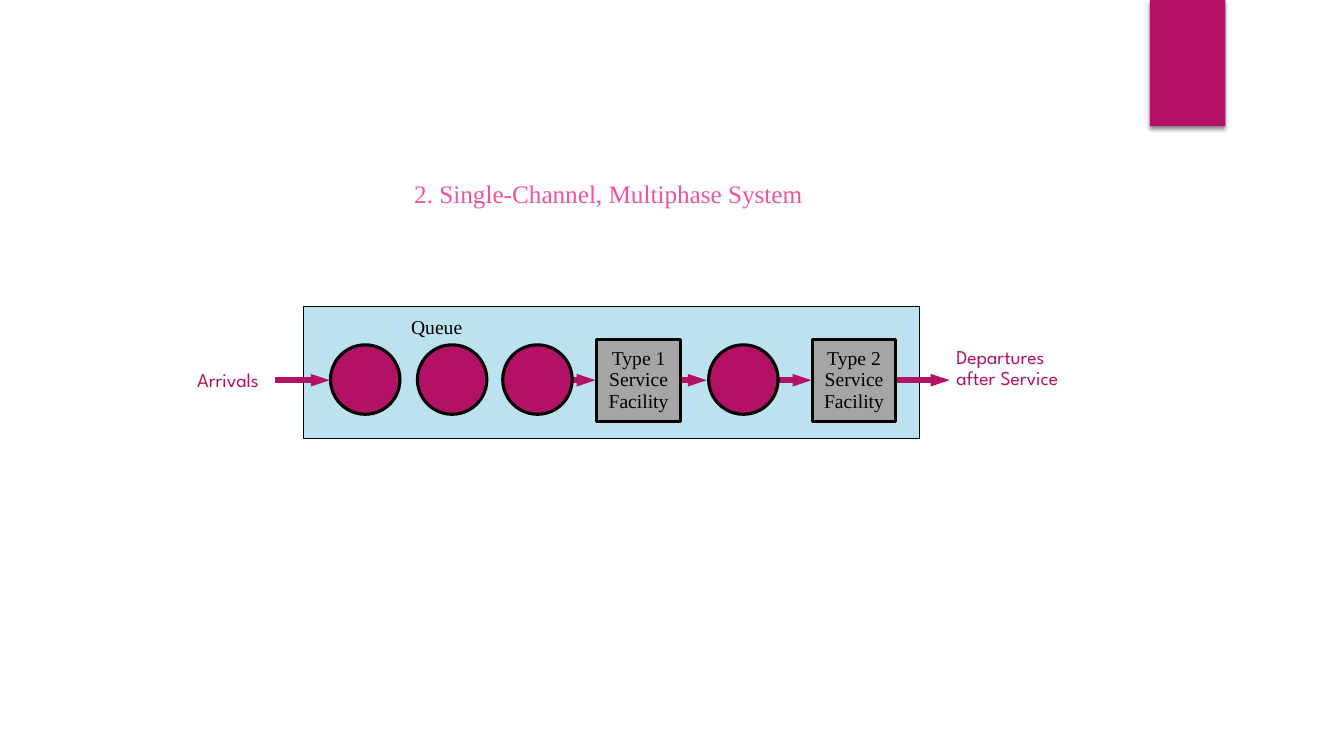
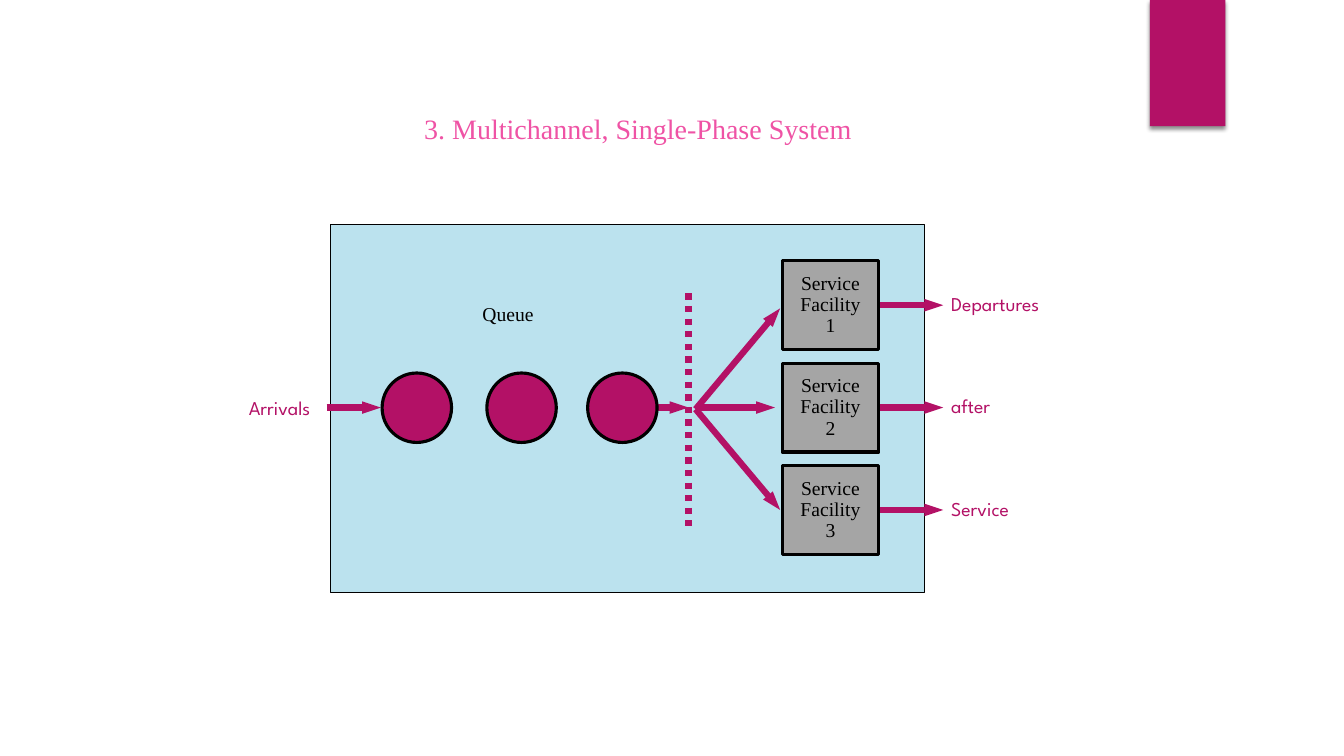
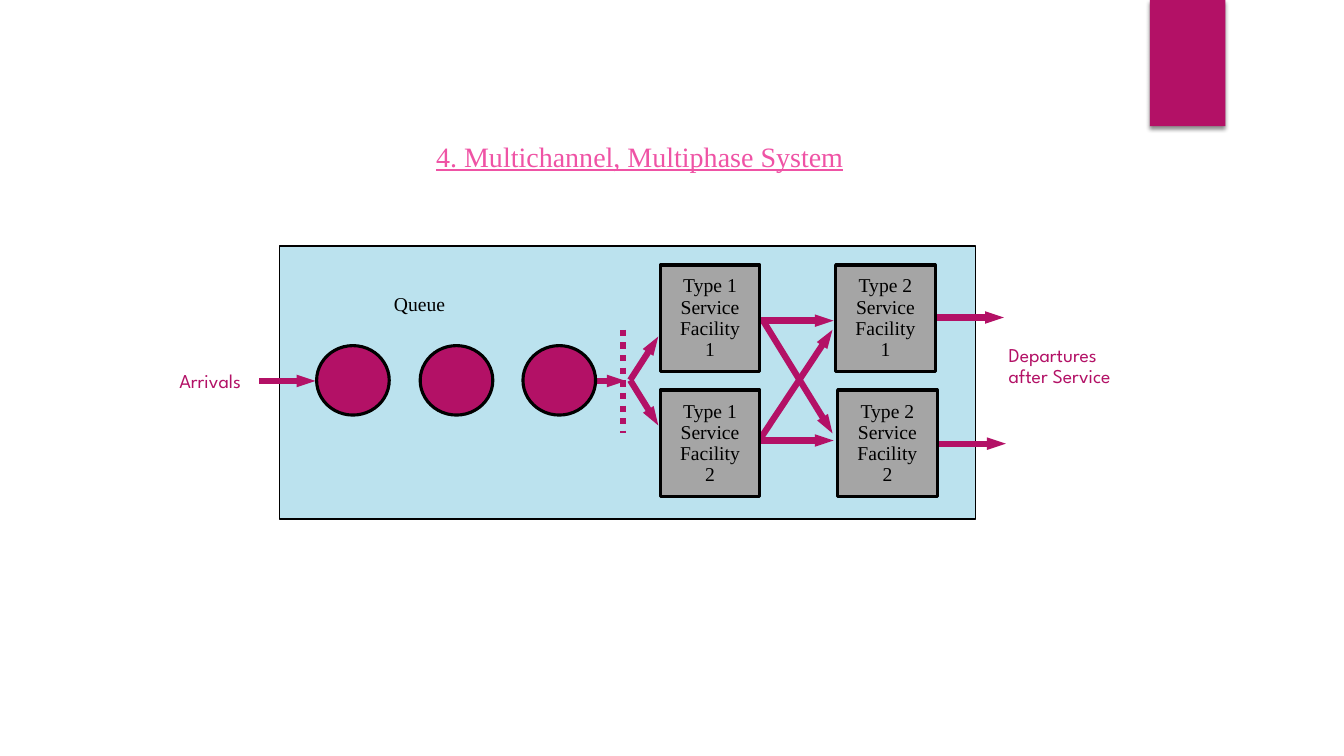
"""Build three slides showing queuing system layouts."""
import pptx
import pptx.util
import pptx.dml.color
import pptx.enum.dml
import pptx.enum.shapes
import pptx.enum.text
import pptx.oxml
import pptx.oxml.ns

Cm, Pt = pptx.util.Cm, pptx.util.Pt
SHAPE = pptx.enum.shapes.MSO_SHAPE
SERIF, SANS = "Times New Roman", "League Spartan"
COLORS = {"accent": "B31166", "title": "EF53A5", "system": "BBE2EE",
          "facility": "A5A5A5", "black": "000000"}
BAND = (28.98, 0, 1.9, 3.18)
EXIT_YS = [7.69, 10.27, 12.85]
ROWS = [6.68, 9.83]

SLIDES = [
    {
        "title": ("2. Single-Channel, Multiphase System", (10.19, 4.37, 10.39, 1.02), 18, False),
        "system": (7.65, 7.72, 15.52, 3.33),
        "customers": ([8.33, 10.52, 12.67, 17.86], 8.69, 1.75, 1.75),
        "arrows": [(x1, 9.58, x2, 9.58) for x1, x2 in
                   [(6.93, 8.31), (13.82, 15.01), (16.59, 17.81), (19.25, 20.45), (22.2, 23.93)]],
        "facility_size": (2.11, 2.06),
        "facilities": [("Type 1 Service Facility", 15.04, 8.56),
                       ("Type 2 Service Facility", 20.47, 8.56)],
        "arrivals": (4.72, 9.14, 2.36, 0.84),
        "queue": (10.11, 7.8, 2.03, 0.84),
        "departures": [("Departures after Service", (23.85, 8.64, 3.28, 1.85))],
    },
    {
        "title": ("3. Multichannel, Single-Phase System", (10.44, 2.69, 11.35, 1.12), 20, False),
        "system": (8.33, 5.66, 14.96, 9.27),
        "customers": ([9.63, 12.27, 14.81], 9.4, 1.75, 1.75),
        "arrows": [(8.23, 10.27, 9.6, 10.27), (16.15, 10.27, 17.35, 10.27),
                   (17.53, 10.27, 19.53, 10.27),
                   (17.53, 10.31, 19.66, 7.77), (17.53, 10.31, 19.66, 12.85)]
                  + [(22.05, y, 23.77, y) for y in EXIT_YS],
        "divider": (17.35, 7.39, 17.35, 13.26),
        "facility_size": (2.44, 2.24),
        "facilities": [(f"Service Facility\n{i}", 19.71, y - 1.12)
                       for i, y in enumerate(EXIT_YS, 1)],
        "arrivals": (6.02, 9.86, 2.36, 0.84),
        "queue": (11.91, 7.49, 2.03, 0.84),
        "departures": [(word, (23.72, y - 0.39, 3.28, 0.79))
                       for word, y in zip(["Departures", "after", "Service"], EXIT_YS)],
    },
    {
        "title": ("4. Multichannel, Multiphase System", (10.74, 3.38, 10.85, 1.12), 20, True),
        "system": (7.04, 6.2, 17.55, 6.88),
        "customers": ([7.98, 10.59, 13.18], 8.71, 1.83, 1.75),
        "arrows": [(6.53, 9.6, 7.95, 9.6), (14.53, 9.6, 15.77, 9.6),
                   (15.88, 9.58, 16.59, 8.48), (15.88, 9.58, 16.59, 10.72),
                   (18.92, 8.08, 21.01, 8.08), (18.92, 11.1, 21.01, 11.1),
                   (19.13, 11.1, 20.98, 8.31), (19.23, 8.08, 20.98, 10.92),
                   (23.52, 8, 25.3, 8), (23.57, 11.18, 25.35, 11.18)],
        "divider": (15.7, 8.31, 15.7, 10.92),
        "facility_size": (2.51, 2.69),
        "facilities": [(f"Type {kind} Service Facility\n{i}", x, y)
                       for kind, xs in [(1, (16.64, 16.64)), (2, (21.06, 21.11))]
                       for i, (x, y) in enumerate(zip(xs, ROWS), 1)],
        "arrivals": (4.27, 9.17, 2.41, 0.84),
        "queue": (9.68, 7.24, 2.11, 0.84),
        "departures": [("Departures after Service", (25.17, 8.59, 3.28, 1.85))],
    },
]


def rgb(name):
    return pptx.dml.color.RGBColor.from_string(COLORS[name])


def sub(parent, tag, **attrs):
    el = pptx.oxml.ns.qn(tag)
    child = parent.makeelement(el, attrs)
    parent.append(child)
    return child


def write(tf, text, font, size, color, spacing=None, centered=False):
    p = tf.paragraphs[0]
    p.text = text
    p.font.name, p.font.size = font, Pt(size)
    p.font.color.rgb = rgb(color)
    if spacing:
        p.line_spacing = spacing
    if centered:
        p.alignment = pptx.enum.text.PP_ALIGN.CENTER
    return p


def label(s, box, text, font, size, color, wrap=False, spacing=None):
    tf = s.shapes.add_textbox(*map(Cm, box)).text_frame
    tf.word_wrap = wrap
    tf.auto_size = pptx.enum.text.MSO_AUTO_SIZE.SHAPE_TO_FIT_TEXT
    return write(tf, text, font, size, color, spacing)


def shape(s, kind, box, fill, width=None):
    sp = s.shapes.add_shape(kind, *map(Cm, box))
    sp.shadow.inherit = False
    sp.fill.solid()
    sp.fill.fore_color.rgb = rgb(fill)
    if width:
        sp.line.color.rgb = rgb("black")
        sp.line.width = Pt(width)
    else:
        sp.line.fill.background()
    return sp


def line(s, ends, arrow=True):
    c = s.shapes.add_connector(pptx.enum.shapes.MSO_CONNECTOR.STRAIGHT, *map(Cm, ends))
    c.line.color.rgb = rgb("accent")
    c.line.width = Pt(4.5)
    if arrow:
        sub(c.line._get_or_add_ln(), "a:tailEnd", type="triangle", w="sm", len="med")
    else:
        c.line.dash_style = pptx.enum.dml.MSO_LINE.ROUND_DOT
    sub(c._element.spPr, "a:effectLst")


def band(s):
    sp = shape(s, SHAPE.RECTANGLE, BAND, "accent")
    effects = sp._element.spPr.find(pptx.oxml.ns.qn("a:effectLst"))
    shadow = sub(effects, "a:outerShdw", blurRad=str(Pt(3)), dist=str(Pt(2)),
                 dir="5400000", rotWithShape="0")
    sub(sub(shadow, "a:srgbClr", val=COLORS["black"]), "a:alpha", val="45000")


def facility(s, box, text):
    sp = shape(s, SHAPE.RECTANGLE, box, "facility", 2.25)
    tf = sp.text_frame
    tf.word_wrap = True
    tf.margin_left = tf.margin_right = tf.margin_top = tf.margin_bottom = 0
    tf.vertical_anchor = pptx.enum.text.MSO_ANCHOR.MIDDLE
    write(tf, text, SERIF, 14, "black", 0.9, True)


def build(prs, d):
    s = prs.slides.add_slide(prs.slide_layouts[6])
    band(s)
    shape(s, SHAPE.RECTANGLE, d["system"], "system", 0.75)
    for ends in d["arrows"]:
        line(s, ends)
    if "divider" in d:
        line(s, d["divider"], arrow=False)
    xs, y, w, h = d["customers"]
    for x in xs:
        shape(s, SHAPE.OVAL, (x, y, w, h), "accent", 2.25)
    for text, x, y in d["facilities"]:
        facility(s, (x, y, *d["facility_size"]), text)
    title, box, size, underline = d["title"]
    p = label(s, box, title, SERIF, size, "title")
    if underline:
        p.runs[0].font.underline = True
    label(s, d["arrivals"], "Arrivals", SANS, 14, "accent")
    label(s, d["queue"], "Queue", SERIF, 14, "black")
    for text, box in d["departures"]:
        label(s, box, text, SANS, 14, "accent", True, 0.9)


def main():
    prs = pptx.Presentation()
    prs.slide_width, prs.slide_height = Cm(33.87), Cm(19.05)
    for d in SLIDES:
        build(prs, d)
    prs.save("out.pptx")


if __name__ == "__main__":
    main()
